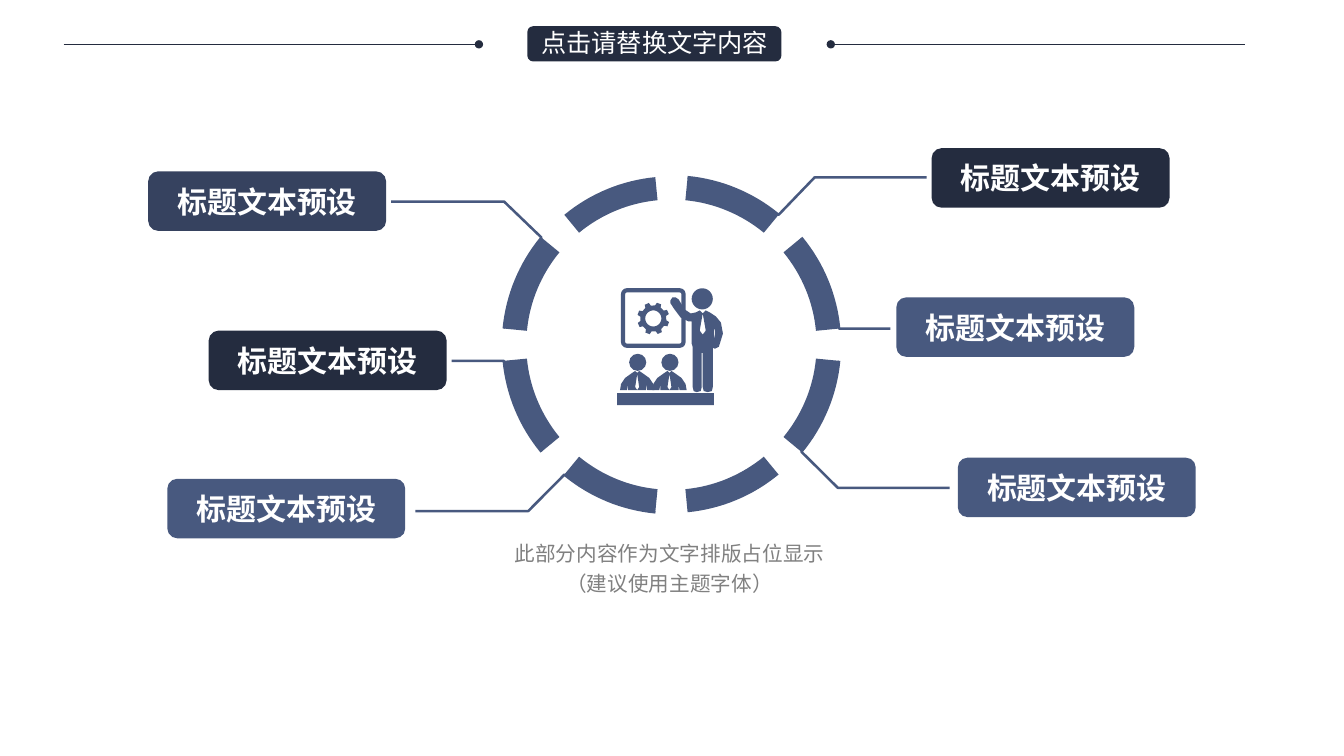
from math import cos, radians, sin

from lxml.etree import SubElement
from pptx import Presentation
from pptx.dml.color import RGBColor
from pptx.enum.shapes import MSO_CONNECTOR, MSO_SHAPE
from pptx.enum.text import MSO_ANCHOR, PP_ALIGN
from pptx.oxml.ns import qn
from pptx.util import Inches, Pt

NAVY = RGBColor(0x24, 0x2C, 0x3F)
SLATE = RGBColor(0x36, 0x42, 0x5F)
BLUE = RGBColor(0x48, 0x59, 0x7F)
GREY = RGBColor(0x80, 0x80, 0x80)
WHITE = RGBColor(0xFF, 0xFF, 0xFF)

CENTER = (6.66, 3.42)
INNER_RADIUS, OUTER_RADIUS = 1.44, 1.67
SEGMENT_COUNT, SEGMENT_SWEEP = 8, 34
BADGE_SIZE = (2.36, 0.59)
BADGE_FORMAT = {"size": Pt(21.4), "bold": True, "name": "Noto Sans CJK SC"}
CAPTION_FORMAT = {"size": Pt(14.7), "name": "Noto Sans CJK SC"}
TITLE_FORMAT = {"size": Pt(18), "name": "Arial"}

BADGES = [
    (9.24, 1.47, NAVY, 0, [(9.19, 1.76), (8.08, 1.76)]),
    (8.89, 2.95, BLUE, 1, [(8.83, 3.26)]),
    (9.5, 4.54, BLUE, 2, [(9.42, 4.84), (8.31, 4.84)]),
    (1.66, 4.75, BLUE, 4, [(4.12, 5.07), (5.24, 5.07)]),
    (2.07, 3.28, NAVY, 5, [(4.48, 3.58)]),
    (1.47, 1.7, SLATE, 6, [(3.88, 2), (5, 2)]),
]
PRESENTER = [
    (7.04, 3.1), (7, 3.08), (6.97, 3.11), (6.94, 3.08), (6.9, 3.1), (6.85, 3.11),
    (6.79, 3.07), (6.73, 2.97), (6.7, 2.95), (6.67, 2.95), (6.65, 2.98), (6.65, 3.01),
    (6.69, 3.07), (6.75, 3.15), (6.83, 3.19), (6.86, 3.19), (6.86, 3.41), (6.87, 3.44),
    (6.87, 3.84), (6.88, 3.88), (6.91, 3.89), (6.95, 3.88), (6.96, 3.84), (6.96, 3.5),
    (6.97, 3.5), (6.97, 3.84), (6.98, 3.88), (7.02, 3.89), (7.06, 3.88), (7.07, 3.84),
    (7.07, 3.45), (7.09, 3.46), (7.13, 3.44), (7.17, 3.31), (7.15, 3.2), (7.1, 3.14),
]
PRESENTER_TIE = [(6.97, 3.32), (6.94, 3.28), (6.97, 3.11), (7, 3.28)]
PRESENTER_ARM_GAP = [(7.08, 3.37), (7.08, 3.25), (7.09, 3.28), (7.09, 3.32)]
LISTENER = [
    (-0.1, 3.87), (-0.09, 3.81), (-0.09, 3.87), (0, 3.87), (-0.02, 3.84), (0, 3.71),
    (0.02, 3.84), (0, 3.87), (0.09, 3.87), (0.09, 3.81), (0.1, 3.87), (0.17, 3.87),
    (0.16, 3.81), (0.12, 3.75), (0.05, 3.7), (0.02, 3.68), (0, 3.7), (-0.02, 3.68),
    (-0.05, 3.7), (-0.12, 3.75), (-0.16, 3.81), (-0.17, 3.87),
]


def polar(center, radius, angle):
    """Return the point at a clockwise angle from twelve o'clock."""
    return center[0] + radius * sin(radians(angle)), center[1] - radius * cos(radians(angle))


def arc(center, radius, start, end, steps=16):
    """Return points along a circular arc."""
    return [polar(center, radius, start + (end - start) * step / steps) for step in range(steps + 1)]


def segment_angles(index):
    """Return the first and last angle of a ring segment."""
    middle = (index + 0.5) * 360 / SEGMENT_COUNT
    return middle - SEGMENT_SWEEP / 2, middle + SEGMENT_SWEEP / 2


class SlideBuilder:
    """Hold the current slide and draw its elements in one style."""

    def __init__(self, slide):
        """Keep the slide to draw on."""
        self.slide = slide

    def paint(self, shape, fill=None, line=None, width=0):
        """Set the fill and outline of a shape."""
        shape.shadow.inherit = False
        for target, color in ((shape.fill, fill), (shape.line.fill, line)):
            if color is None:
                target.background()
            else:
                target.solid()
                target.fore_color.rgb = color
        if line is not None:
            shape.line.width = Pt(width)
        return shape

    def preset(self, kind, box, fill=None, line=None, width=0):
        """Add a preset shape."""
        shape = self.slide.shapes.add_shape(kind, *map(Inches, box))
        return self.paint(shape, fill, line, width)

    def outline(self, *contours, closed=True, **paint):
        """Add a freeform made of one or more contours."""
        builder = None
        for contour in contours:
            first, *others = [(Inches(x), Inches(y)) for x, y in contour]
            if builder is None:
                builder = self.slide.shapes.build_freeform(*first, scale=1.0)
            else:
                builder.move_to(*first)
            builder.add_line_segments(others, close=closed)
        return self.paint(builder.convert_to_shape(), **paint)

    def fill_text(self, shape, text, color, formats, alignment=PP_ALIGN.CENTER, **frame):
        """Put formatted text into a shape."""
        for name, value in frame.items():
            setattr(shape.text_frame, name, value)
        paragraph = shape.text_frame.paragraphs[0]
        paragraph.text = text
        paragraph.alignment = alignment
        for run in paragraph.runs:
            for name, value in formats.items():
                setattr(run.font, name, value)
            run.font.color.rgb = color
            SubElement(run.font._element, qn("a:ea"), typeface=formats["name"])
        return paragraph

    def text_box(self, box, text, color, formats, **options):
        """Add a text box and return its paragraph."""
        shape = self.slide.shapes.add_textbox(*map(Inches, box))
        return self.fill_text(shape, text, color, formats, **options)

    def rule(self, start, end, dotted_end):
        """Add a thin rule with a dot at one end."""
        points = map(Inches, (*start, *end))
        connector = self.slide.shapes.add_connector(MSO_CONNECTOR.STRAIGHT, *points)
        connector.line.color.rgb = NAVY
        connector.line.width = Pt(0.5)
        SubElement(connector.line._get_or_add_ln(), qn(dotted_end), type="oval")
        SubElement(connector._element.spPr, qn("a:effectLst"))

    def badge(self, left, top, color, segment, leader):
        """Add a label and the leader that follows its ring segment."""
        shape = self.preset(MSO_SHAPE.ROUNDED_RECTANGLE, (left, top, *BADGE_SIZE), color)
        self.fill_text(shape, "标题文本预设", WHITE, BADGE_FORMAT,
                       word_wrap=False, vertical_anchor=MSO_ANCHOR.MIDDLE)
        start, end = segment_angles(segment)
        self.outline(leader + arc(CENTER, OUTER_RADIUS, end, start),
                     closed=False, line=BLUE, width=1.8)

    def ring(self):
        """Add the segments of the ring."""
        for index in range(SEGMENT_COUNT):
            start, end = segment_angles(index)
            self.outline(arc(CENTER, OUTER_RADIUS, start, end)
                         + arc(CENTER, INNER_RADIUS, end, start), fill=BLUE)

    def gear(self, center):
        """Add a gear with eight teeth and a round hole."""
        teeth = [polar(center, radius, 21 + 45 * tooth + offset) for tooth in range(8)
                 for radius, offset in ((0.13, -13), (0.16, -8), (0.16, 8), (0.13, 13))]
        self.outline(teeth, arc(center, 0.08, 360, 0, 32), fill=BLUE)

    def training_icon(self):
        """Add the board, the presenter and the listeners."""
        self.outline(PRESENTER, PRESENTER_TIE, PRESENTER_ARM_GAP, fill=BLUE)
        self.preset(MSO_SHAPE.OVAL, (6.86, 2.86, 0.21, 0.21), BLUE)
        board = self.preset(MSO_SHAPE.ROUNDED_RECTANGLE, (6.18, 2.88, 0.6, 0.55), line=BLUE, width=3)
        board.adjustments[0] = 0.07
        for middle in (6.32, 6.64):
            self.preset(MSO_SHAPE.OVAL, (middle - 0.08, 3.51, 0.17, 0.17), BLUE)
            self.outline([(middle + x, y) for x, y in LISTENER], fill=BLUE)
        self.preset(MSO_SHAPE.RECTANGLE, (6.12, 3.9, 0.96, 0.12), BLUE)
        self.gear((6.48, 3.16))

    def caption(self):
        """Add the centred note below the ring."""
        margins = dict.fromkeys(("margin_left", "margin_top", "margin_right", "margin_bottom"), 0)
        paragraph = self.text_box((5.01, 5.32, 3.26, 1.34),
                                  "此部分内容作为文字排版占位显示\n（建议使用主题字体）",
                                  GREY, CAPTION_FORMAT, word_wrap=True, **margins)
        paragraph.line_spacing = 1.2

    def header(self):
        """Add the title plate between two rules."""
        self.rule((0.63, 0.44), (4.75, 0.44), "a:tailEnd")
        self.rule((8.24, 0.44), (12.35, 0.44), "a:headEnd")
        self.preset(MSO_SHAPE.ROUNDED_RECTANGLE, (5.23, 0.26, 2.52, 0.35), NAVY)
        self.text_box((5.27, 0.22, 2.47, 0.4), "点击请替换文字内容", WHITE, TITLE_FORMAT,
                      alignment=PP_ALIGN.LEFT, word_wrap=False)


def main():
    """Build and save the slide."""
    presentation = Presentation()
    presentation.slide_width = Inches(13.33)
    presentation.slide_height = Inches(7.5)
    builder = SlideBuilder(presentation.slides.add_slide(presentation.slide_layouts[6]))
    for badge in BADGES:
        builder.badge(*badge)
    builder.caption()
    builder.ring()
    builder.training_icon()
    builder.header()
    presentation.save("out.pptx")


if __name__ == "__main__":
    main()
